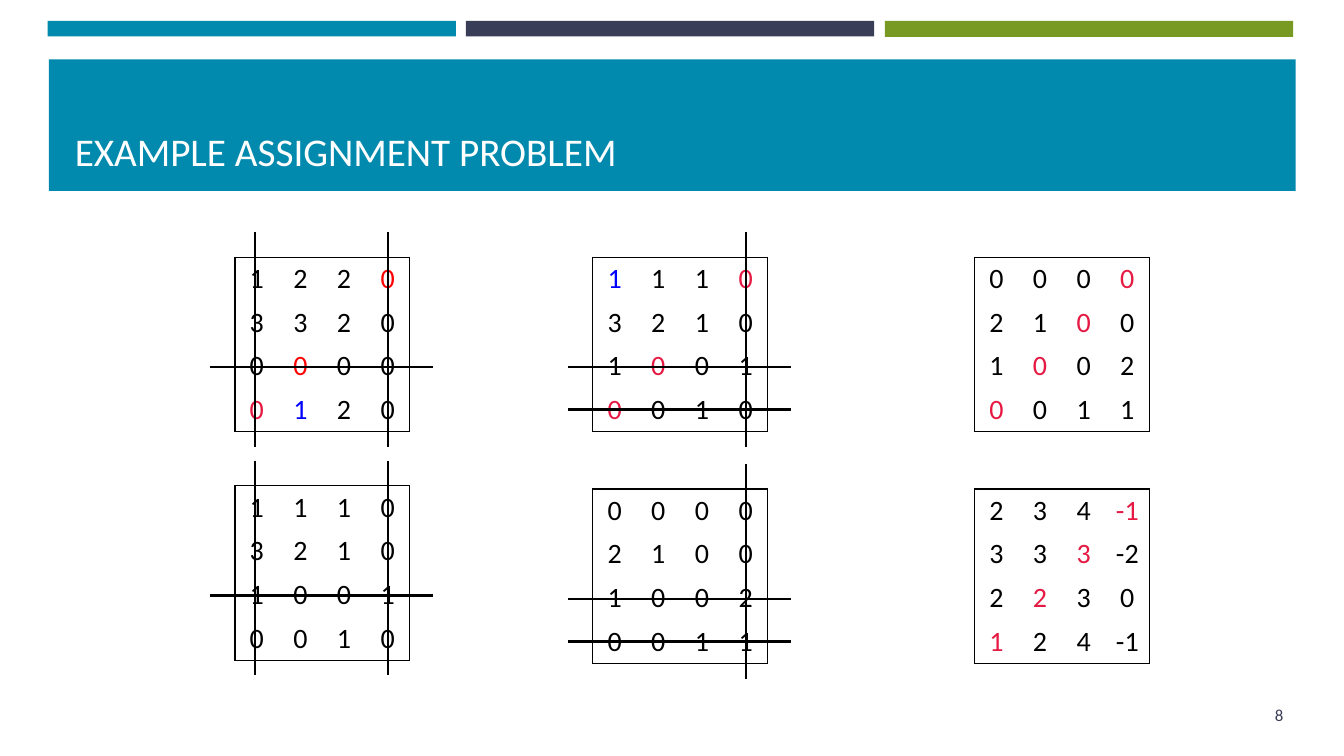
from dataclasses import dataclass

from lxml import etree
from pptx import Presentation
from pptx.dml.color import RGBColor
from pptx.enum import shapes, text
from pptx.oxml import ns
from pptx.util import Cm, Pt


@dataclass(frozen=True)
class Theme:
    teal: str = "028AAE"
    navy: str = "3A3D57"
    green: str = "799A22"
    white: str = "FFFFFF"
    black: str = "000000"
    red: str = "FF0000"
    crimson: str = "E61943"
    blue: str = "0000FF"
    font: str = "Calibri"
    title_size: int = 28
    cell_size: int = 20
    number_size: int = 12


theme = Theme()


def write(frame, content, *, size, color, align=text.PP_ALIGN.LEFT):
    paragraph = frame.paragraphs[0]
    paragraph.alignment = align
    run = paragraph.add_run()
    run.text = content
    run.font.name = theme.font
    run.font.size = Pt(size)
    run.font.color.rgb = RGBColor.from_string(color)


def set_borders(cell, visible):
    """Draw a 1 pt line on the visible sides (L, R, T, B) and none on the others."""
    properties = cell._tc.get_or_add_tcPr()
    for side in "LRTB":
        line = etree.SubElement(properties, ns.qn(f"a:ln{side}"), w=str(Pt(1)))
        if side in visible:
            fill = etree.SubElement(line, ns.qn("a:solidFill"))
            etree.SubElement(fill, ns.qn("a:srgbClr"), val=theme.black)
        else:
            etree.SubElement(line, ns.qn("a:noFill"))


presentation = Presentation()
presentation.slide_width = Cm(33.87)
presentation.slide_height = Cm(19.05)
slide = presentation.slides.add_slide(presentation.slide_layouts[5])

# Top stripes and title band
bars = [
    (1.2, 0.53, 10.29, 0.39, theme.teal),
    (11.74, 0.53, 10.29, 0.39, theme.navy),
    (22.3, 0.53, 10.29, 0.4, theme.green),
    (1.23, 1.5, 31.42, 3.31, theme.teal),
]
for *box, color in bars:
    bar = slide.shapes.add_shape(shapes.MSO_SHAPE.RECTANGLE, *map(Cm, box))
    bar.shadow.inherit = False
    bar.fill.solid()
    bar.fill.fore_color.rgb = RGBColor.from_string(color)
    bar.line.fill.background()

title = slide.shapes.title
bar.element.addnext(title.element)  # bring the title in front of its band
title.left, title.top, title.width, title.height = Cm(1.63), Cm(1.78), Cm(30.63), Cm(2.74)
title.text_frame.vertical_anchor = text.MSO_ANCHOR.BOTTOM
write(title.text_frame, "EXAMPLE ASSIGNMENT PROBLEM", size=theme.title_size, color=theme.white)

page_number = slide.shapes.add_textbox(Cm(29.59), Cm(17.5), Cm(3), Cm(1.02))
page_number.text_frame.word_wrap = True
page_number.text_frame.vertical_anchor = text.MSO_ANCHOR.MIDDLE
write(page_number.text_frame, "8", size=theme.number_size, color=theme.navy,
      align=text.PP_ALIGN.RIGHT)

# Each matrix: left, top, rows, coloured cells, struck columns, struck rows
diagonal = {(i, 3 - i): theme.crimson for i in range(4)}
first_zeros = {(0, 3): theme.red, (2, 1): theme.red, (3, 0): theme.crimson, (3, 1): theme.blue}
second_zeros = {(0, 0): theme.blue, (0, 3): theme.crimson, (2, 1): theme.crimson,
                (3, 0): theme.crimson}
matrices = [
    (5.92, 6.48, ["1 2 2 0", "3 3 2 0", "0 0 0 0", "0 1 2 0"], first_zeros, [0, 3], [2]),
    (5.92, 12.24, ["1 1 1 0", "3 2 1 0", "1 0 0 1", "0 0 1 0"], {}, [0, 3], [2]),
    (14.94, 6.48, ["1 1 1 0", "3 2 1 0", "1 0 0 1", "0 0 1 0"], second_zeros, [3], [2, 3]),
    (14.94, 12.32, ["0 0 0 0", "2 1 0 0", "1 0 0 2", "0 0 1 1"], {}, [3], [2, 3]),
    (24.56, 6.48, ["0 0 0 0", "2 1 0 0", "1 0 0 2", "0 0 1 1"], diagonal, [], []),
    (24.56, 12.32, ["2 3 4 -1", "3 3 3 -2", "2 2 3 0", "1 2 4 -1"], diagonal, [], []),
]
cell_side = 1.1
overhang = 0.63
column_strike = {0: 0.51, 3: 3.86}
row_strike = {2: 2.77, 3: 3.84}

for left, top, rows, colors, struck_columns, struck_rows in matrices:
    side = Cm(4 * cell_side)
    table = slide.shapes.add_table(4, 4, Cm(left), Cm(top), side, side).table
    table.first_row = table.horz_banding = False
    for i, values in enumerate(rows):
        table.rows[i].height = table.columns[i].width = Cm(cell_side)
        for j, value in enumerate(values.split()):
            cell = table.cell(i, j)
            cell.margin_left = cell.margin_right = Cm(0.1)
            cell.margin_top = cell.margin_bottom = Cm(0.05)
            cell.vertical_anchor = text.MSO_ANCHOR.MIDDLE
            edges = {"L": j == 0, "R": j == 3, "T": i == 0, "B": i == 3}
            set_borders(cell, [edge for edge, outer in edges.items() if outer])
            cell.fill.background()
            write(cell.text_frame, value, size=theme.cell_size,
                  color=colors.get((i, j), theme.black), align=text.PP_ALIGN.CENTER)

    strikes = []
    for column in struck_columns:
        x = left + column_strike[column]
        strikes.append((x, top - overhang, x, top + 4.78))
    for row in struck_rows:
        y = top + row_strike[row]
        strikes.append((left - overhang, y, left + 5, y))
    for ends in strikes:
        strike = slide.shapes.add_connector(shapes.MSO_CONNECTOR.STRAIGHT, *map(Cm, ends))
        strike.line.color.rgb = RGBColor.from_string(theme.black)
        strike.line.width = Pt(1.75)
        etree.SubElement(strike.element.spPr, ns.qn("a:effectLst"))

presentation.save("out.pptx")
